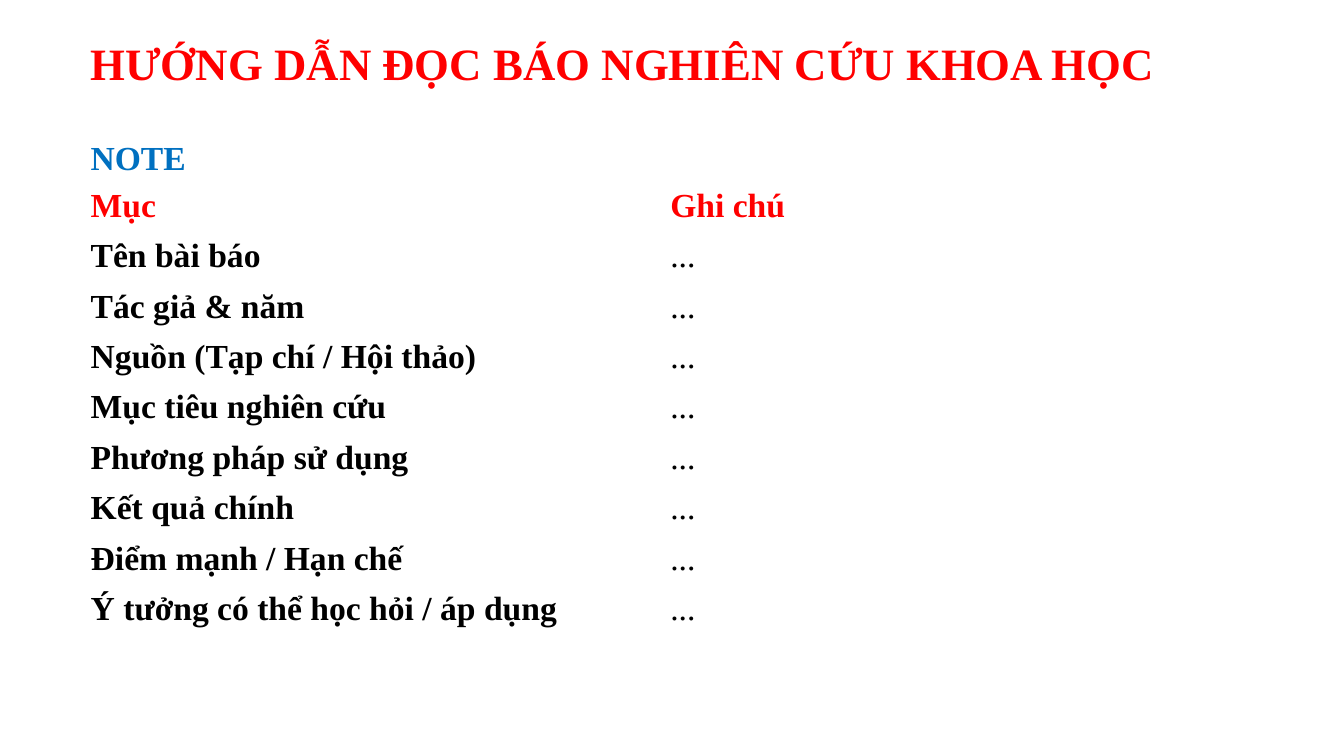
import pptx
import pptx.dml.color
import pptx.enum.text
import pptx.util

Pt = pptx.util.Pt
MIDDLE = pptx.enum.text.MSO_ANCHOR.MIDDLE
GROW = pptx.enum.text.MSO_AUTO_SIZE.SHAPE_TO_FIT_TEXT
FIXED = pptx.enum.text.MSO_AUTO_SIZE.NONE

FONT = "Times New Roman"
RED, BLUE, BLACK = "FF0000", "0070C0", "000000"

TITLE = "HƯỚNG DẪN ĐỌC BÁO NGHIÊN CỨU KHOA HỌC"
SUBTITLE = "NOTE"
HEADER = ("Mục", "Ghi chú")
ITEMS = [
    "Tên bài báo",
    "Tác giả & năm",
    "Nguồn (Tạp chí / Hội thảo)",
    "Mục tiêu nghiên cứu",
    "Phương pháp sử dụng",
    "Kết quả chính",
    "Điểm mạnh / Hạn chế",
    "Ý tưởng có thể học hỏi / áp dụng",
]
BLANK_NOTE = "..."

LEFT, TEXT_W = 57.6, 867
COL_W, ROW_H = 414, 36
TABLE_TOP = 129


def rgb(color):
    return pptx.dml.color.RGBColor.from_string(color)


def write(tf, text, color, size=24, bold=True, **spacing):
    """Fill the first paragraph; spacing holds paragraph attributes."""
    p = tf.paragraphs[0]
    for name, value in spacing.items():
        setattr(p, name, value)
    r = p.add_run()
    r.text = text
    for name, value in {"name": FONT, "size": Pt(size), "bold": bold}.items():
        setattr(r.font, name, value)
    r.font.color.rgb = rgb(color)


def add_text(s, top, height, auto_size, text, color, **style):
    tf = s.shapes.add_textbox(Pt(LEFT), Pt(top), Pt(TEXT_W), Pt(height)).text_frame
    frame = {"word_wrap": True, "vertical_anchor": MIDDLE, "auto_size": auto_size}
    for name, value in frame.items():
        setattr(tf, name, value)
    write(tf, text, color, **style)


def add_notes_table(s):
    rows = [(HEADER, RED, (True, True))]
    rows += [((item, BLANK_NOTE), BLACK, (True, False)) for item in ITEMS]
    n_cols = len(HEADER)
    table = s.shapes.add_table(len(rows), n_cols, Pt(LEFT), Pt(TABLE_TOP),
                               Pt(COL_W * n_cols), Pt(ROW_H * len(rows))).table
    for name in ("first_row", "horz_banding"):
        setattr(table, name, False)
    for i, (texts, color, bolds) in enumerate(rows):
        for j, (text, bold) in enumerate(zip(texts, bolds)):
            cell = table.cell(i, j)
            cell.fill.background()
            cell.vertical_anchor = MIDDLE
            write(cell.text_frame, text, color, bold=bold)


def main():
    prs = pptx.Presentation()
    prs.slide_width, prs.slide_height = Pt(960), Pt(540)
    s = prs.slides.add_slide(prs.slide_layouts[6])
    add_text(s, 13, 69, FIXED, TITLE, RED, size=32, line_spacing=0.9)
    add_text(s, 82, 45.4, GROW, SUBTITLE, BLUE, line_spacing=1.5, space_before=Pt(10))
    add_notes_table(s)
    prs.save("out.pptx")


if __name__ == "__main__":
    main()
